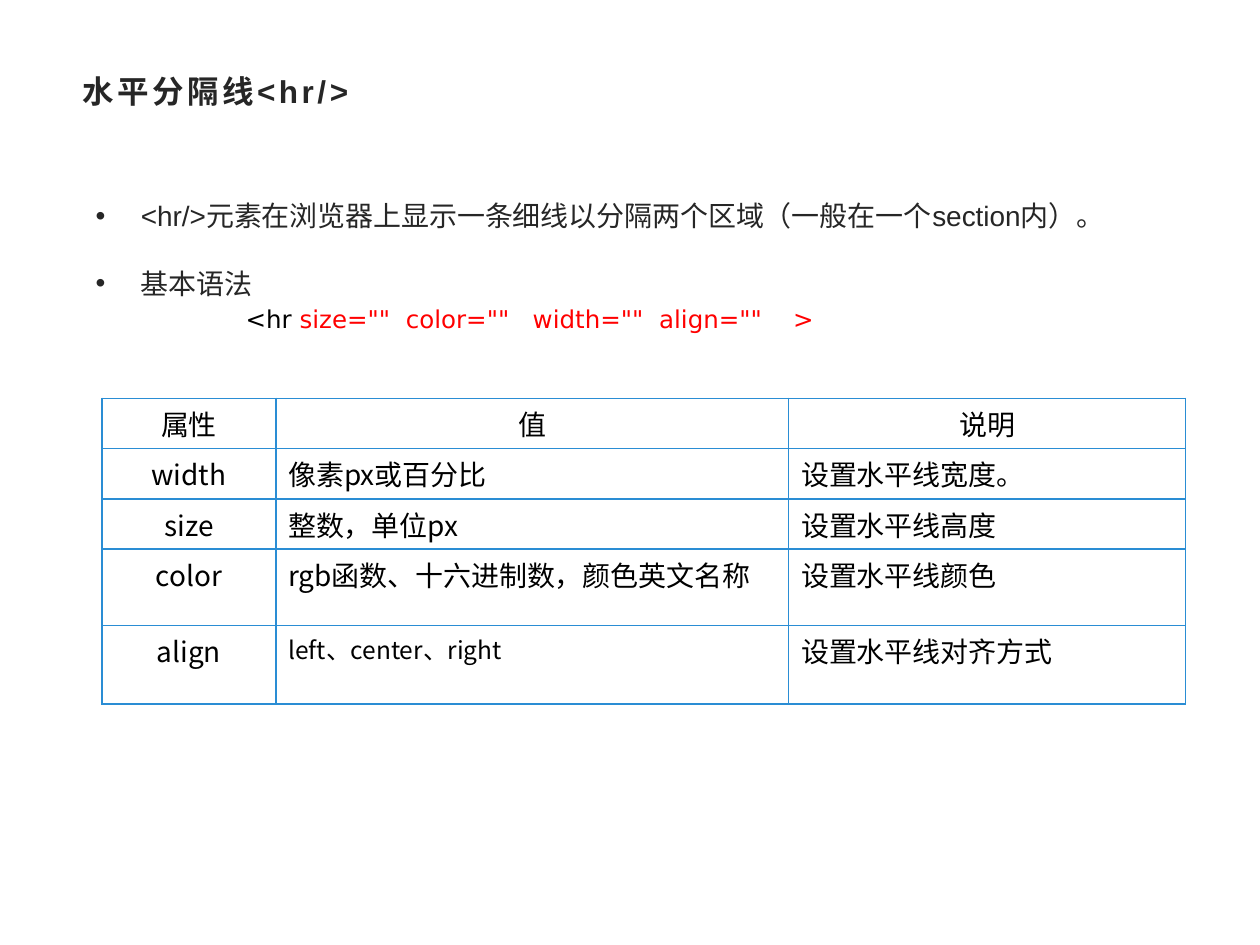
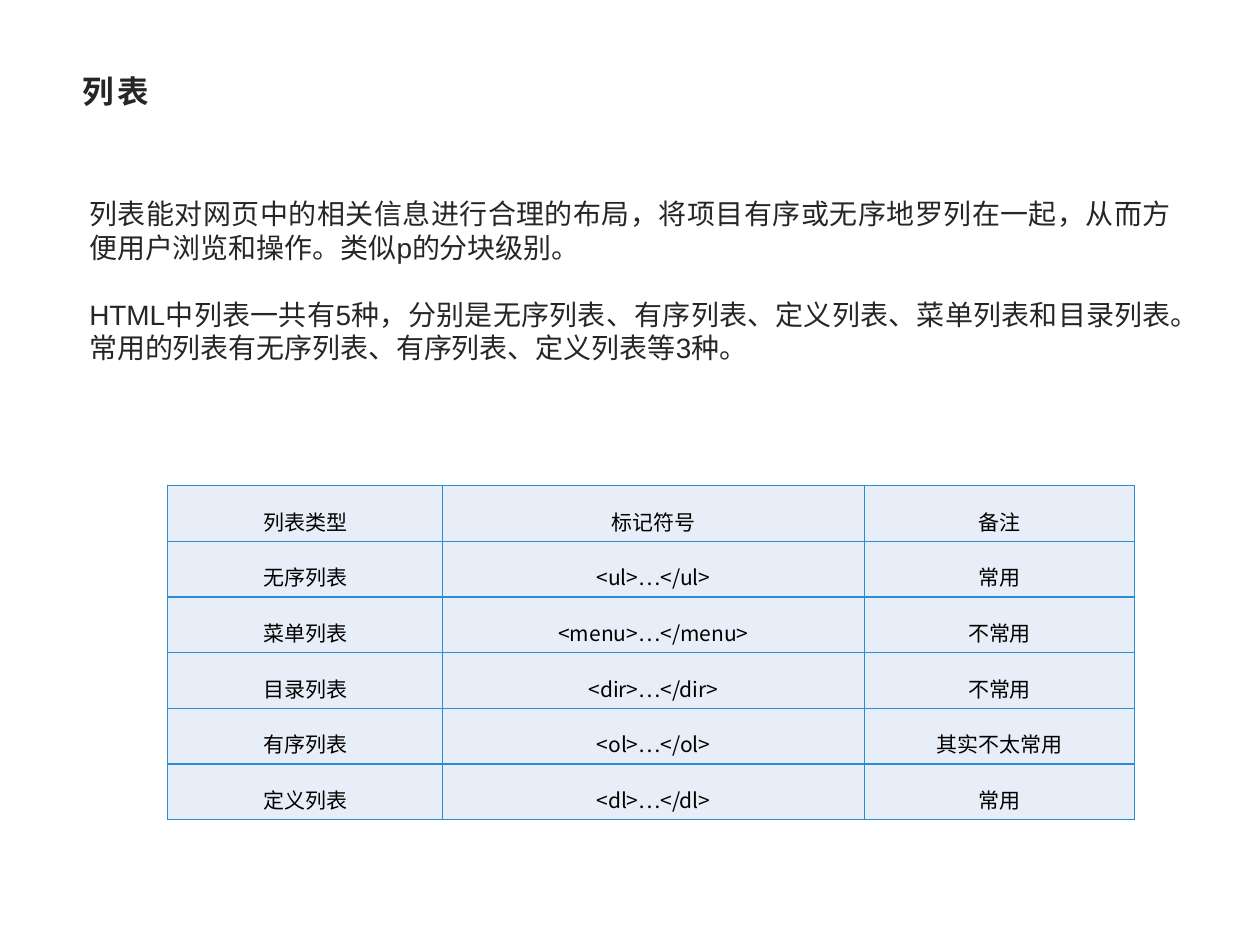
import pptx
import pptx.dml.color
import pptx.enum.text
import pptx.oxml.ns
import pptx.util
from lxml import etree

Cm, Pt = pptx.util.Cm, pptx.util.Pt
ALIGN, ANCHOR = pptx.enum.text.PP_ALIGN, pptx.enum.text.MSO_ANCHOR
qn = pptx.oxml.ns.qn

CJK_FONT = "Noto Sans CJK SC"
INK, BLACK, RED, BORDER, PALE = "262626", "000000", "FF0000", "2A8DD4", "E8EEF7"
TITLE_FRAME = {"left": Cm(1.4), "top": Cm(1.22), "width": Cm(22.6), "height": Cm(1.22)}
TEXT_MARGINS = {"margin_left": Cm(0.25), "margin_right": Cm(0.25),
                "margin_top": Cm(0.2), "margin_bottom": Cm(0.13)}
CELL_FORMAT = {"margin_left": Cm(0.25), "margin_right": Cm(0.25), "margin_top": Cm(0.1),
               "margin_bottom": Cm(0.1), "vertical_anchor": ANCHOR.TOP}
BULLET = {"mark": "•", "marL": Cm(1.19), "indent": Cm(-0.91), "align": ALIGN.LEFT}
CODE = {"mark": None, "marL": Cm(3.3), "indent": 0, "align": ALIGN.LEFT}
PLAIN = {"mark": None, "marL": 0, "indent": 0, "align": ALIGN.JUSTIFY}


def rgb(hex_color):
    return pptx.dml.color.RGBColor.from_string(hex_color)


def add_text(paragraph, text, color, size, font_name, bold=False):
    """Append a run, with the East Asian face set beside the Latin one."""
    run = paragraph.add_run()
    run.text = text
    for key, value in {"size": Pt(size), "name": font_name, "bold": bold}.items():
        setattr(run.font, key, value)
    run.font.color.rgb = rgb(color)
    etree.SubElement(run.font._element, qn("a:ea"), typeface=CJK_FONT)
    return run


# Each paragraph: layout, space before in points, runs (text, colour, size, font)
topics = [
    {
        "title": "水平分隔线<hr/>",
        "body_frame": {"left": Cm(1.4), "top": Cm(3.81), "width": Cm(23.16), "height": Cm(3.43)},
        "paragraphs": [
            (BULLET, 0, [("<hr/>元素在浏览器上显示一条细线以分隔两个区域（一般在一个section内）。",
                          INK, 16, "Arial")]),
            (BULLET, 19.2, [("基本语法", INK, 16, "Arial")]),
            (CODE, 0, [("<hr", BLACK, 14, "DejaVu Sans"),
                       (' size=""  color=""   width=""  align=""    >', RED, 14, "DejaVu Sans")]),
        ],
        "table_origin": (Cm(2.06), Cm(8.03)),
        "columns": [3.5, 10.34, 8.0],
        "row_heights": [1.01, 1.01, 1.01, 1.54, 1.58],
        "cell_size": 16,
        "small_cells": {"left、center、right": 14},
        "line_spacing": 1.0,
        "fill": None,
        "left_columns": (1, 2),
        "rows": [
            ("属性", "值", "说明"),
            ("width", "像素px或百分比", "设置水平线宽度。"),
            ("size", "整数，单位px", "设置水平线高度"),
            ("color", "rgb函数、十六进制数，颜色英文名称", "设置水平线颜色"),
            ("align", "left、center、right", "设置水平线对齐方式"),
        ],
    },
    {
        "title": "列表",
        "body_frame": {"left": Cm(1.55), "top": Cm(3.76), "width": Cm(22.33), "height": Cm(4.9)},
        "paragraphs": [
            (PLAIN, 0, [("列表能对网页中的相关信息进行合理的布局，将项目有序或无序地罗列在一起，"
                         "从而方便用户浏览和操作。类似p的分块级别。", INK, 16, "Arial")]),
            (PLAIN, 19.2, [("HTML中列表一共有5种，分别是无序列表、有序列表、定义列表、菜单列表和目录列表。"
                            "常用的列表有无序列表、有序列表、定义列表等3种。", INK, 16, "Arial")]),
        ],
        "table_origin": (Cm(3.38), Cm(9.79)),
        "columns": [5.54, 8.51, 5.44],
        "row_heights": [1.11] * 6,
        "cell_size": 12,
        "small_cells": {},
        "line_spacing": 1.5,
        "fill": PALE,
        "left_columns": (),
        "rows": [
            ("列表类型", "标记符号", "备注"),
            ("无序列表", "<ul>…</ul>", "常用"),
            ("菜单列表", "<menu>…</menu>", "不常用"),
            ("目录列表", "<dir>…</dir>", "不常用"),
            ("有序列表", "<ol>…</ol>", "其实不太常用"),
            ("定义列表", "<dl>…</dl>", "常用"),
        ],
    },
]

deck = pptx.Presentation()
deck.slide_width, deck.slide_height = Cm(25.4), Cm(19.05)

for topic in topics:
    slide = deck.slides.add_slide(deck.slide_layouts[1])
    heading, body = slide.shapes.title, slide.placeholders[1]
    for placeholder, frame in ((heading, TITLE_FRAME), (body, topic["body_frame"])):
        for key, value in frame.items():
            setattr(placeholder, key, value)
        placeholder.text_frame.auto_size = pptx.enum.text.MSO_AUTO_SIZE.NONE
        placeholder.text_frame.word_wrap = True

    heading.text_frame.vertical_anchor = ANCHOR.MIDDLE
    title_line = heading.text_frame.paragraphs[0]
    title_line.alignment = ALIGN.LEFT
    title_run = add_text(title_line, topic["title"], INK, 18, "Arial", bold=True)
    title_run.font._element.set("spc", "200")

    for key, value in TEXT_MARGINS.items():
        setattr(body.text_frame, key, value)
    body.text_frame.vertical_anchor = ANCHOR.TOP
    for number, (layout, space_before, runs) in enumerate(topic["paragraphs"]):
        paragraph = body.text_frame.add_paragraph() if number else body.text_frame.paragraphs[0]
        properties = paragraph._p.get_or_add_pPr()
        for key in ("marL", "indent"):
            properties.set(key, str(int(layout[key])))
        if layout["mark"]:
            etree.SubElement(properties, qn("a:buFont"), typeface="Arial")
            etree.SubElement(properties, qn("a:buChar"), char=layout["mark"])
        else:
            etree.SubElement(properties, qn("a:buNone"))
        paragraph.alignment = layout["align"]
        paragraph.line_spacing = Pt(19.2)
        paragraph.space_before = Pt(space_before)
        for run in runs:
            add_text(paragraph, *run)

    rows, widths, heights = topic["rows"], topic["columns"], topic["row_heights"]
    table = slide.shapes.add_table(len(rows), len(widths), *topic["table_origin"],
                                   Cm(sum(widths)), Cm(sum(heights))).table
    table.first_row = table.horz_banding = False
    for column, width in zip(table.columns, widths):
        column.width = Cm(width)
    for row, height in zip(table.rows, heights):
        row.height = Cm(height)

    for row_number, values in enumerate(rows):
        for column_number, value in enumerate(values):
            cell = table.cell(row_number, column_number)
            for key, setting in CELL_FORMAT.items():
                setattr(cell, key, setting)
            cell_properties = cell._tc.get_or_add_tcPr()
            for side in ("lnL", "lnR", "lnT", "lnB"):
                edge = etree.SubElement(cell_properties, qn(f"a:{side}"), w=str(int(Pt(1))))
                edge_fill = etree.SubElement(edge, qn("a:solidFill"))
                etree.SubElement(edge_fill, qn("a:srgbClr"), val=BORDER)
            if topic["fill"]:
                cell.fill.solid()
                cell.fill.fore_color.rgb = rgb(topic["fill"])
            else:
                cell.fill.background()
            entry = cell.text_frame.paragraphs[0]
            is_left = row_number > 0 and column_number in topic["left_columns"]
            entry.alignment = ALIGN.LEFT if is_left else ALIGN.CENTER
            entry.line_spacing = topic["line_spacing"]
            size = topic["small_cells"].get(value, topic["cell_size"])
            add_text(entry, value, BLACK, size, CJK_FONT)

deck.save("out.pptx")
